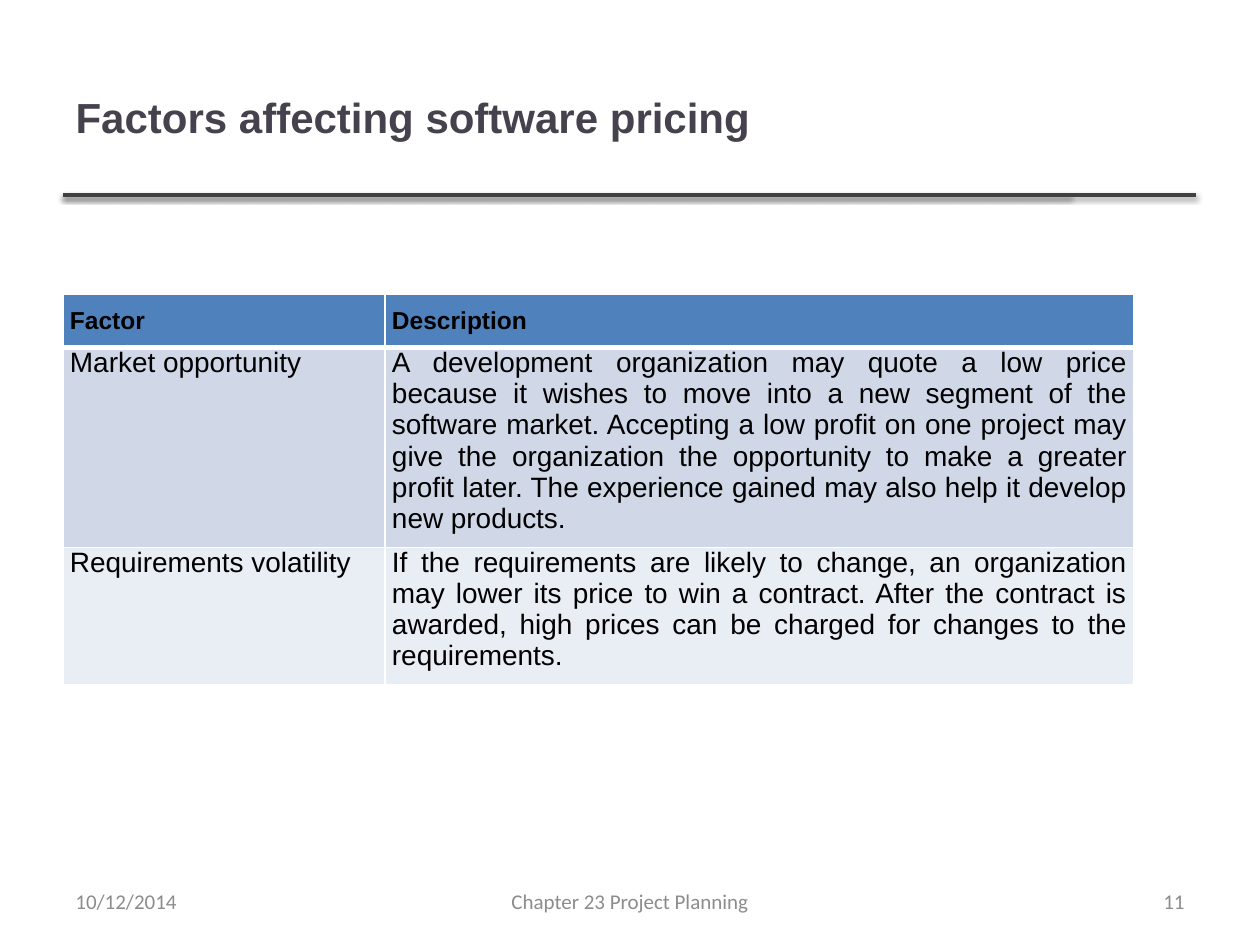
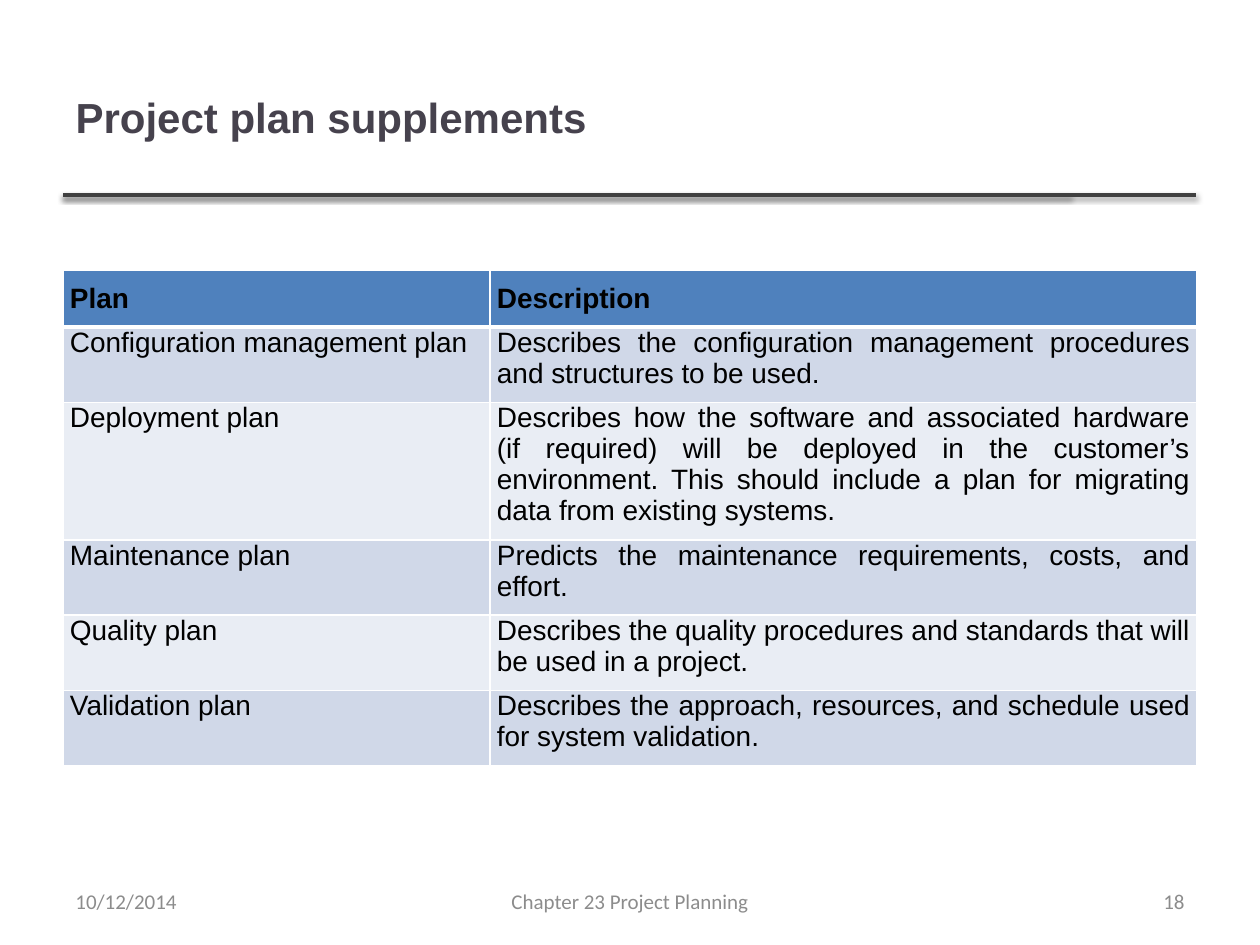
"""Build two project planning slides, each with a titled table."""
from lxml import etree
from pptx import Presentation
from pptx import util as u
from pptx.dml.color import RGBColor
from pptx.enum import shapes, text
from pptx.oxml.ns import qn

INK = RGBColor(0x00, 0x00, 0x00)
WHITE = RGBColor(0xFF, 0xFF, 0xFF)
TITLE_GREY = RGBColor(0x46, 0x42, 0x4D)
RULE_GREY = RGBColor(0x40, 0x40, 0x40)
FOOTER_GREY = RGBColor(0x8C, 0x8C, 0x8C)
HEADER_BLUE = RGBColor(0x4F, 0x81, 0xBD)
ROW_BANDS = (RGBColor(0xD0, 0xD8, 0xE8), RGBColor(0xE9, 0xED, 0xF4))

LEFT, CENTER, RIGHT, JUSTIFY = (
    text.PP_ALIGN.LEFT, text.PP_ALIGN.CENTER, text.PP_ALIGN.RIGHT, text.PP_ALIGN.JUSTIFY)
MIDDLE, TOP = text.MSO_ANCHOR.MIDDLE, text.MSO_ANCHOR.TOP

DATE = "10/12/2014"
CHAPTER = "Chapter 23 Project Planning"
TITLE_BOX = (63, 38, 1006, 157)
RULE_BOX = (63, 195, 1133, 0)
SHORT_RULE = 1007
FOOTER_BOX = (63, 876, 1134, 50)
SIDE_INSET, END_INSET = 7, 13
LINE_HEIGHT = 31

PRICING = dict(
    title="Factors affecting software pricing", number="11",
    origin=(63, 294), widths=(322, 749), header=("Factor", "Description"),
    header_size=14, header_height=52,
    rows=[
        ("Market opportunity",
         "A development organization may quote a low price because it wishes to move into "
         "a new segment of the software market. Accepting a low profit on one project may "
         "give the organization the opportunity to make a greater profit later. The "
         "experience gained may also help it develop new products.", 6),
        ("Requirements volatility",
         "If the requirements are likely to change, an organization may lower its price to "
         "win a contract. After the contract is awarded, high prices can be charged for "
         "changes to the requirements.", 4),
    ])

SUPPLEMENTS = dict(
    title="Project plan supplements", number="18",
    origin=(63, 270), widths=(427, 707), header=("Plan", "Description"),
    header_size=16, header_height=57,
    rows=[
        ("Configuration management plan",
         "Describes the configuration management procedures and structures to be used.", 2),
        ("Deployment plan",
         "Describes how the software and associated hardware (if required) will be deployed "
         "in the customer\u2019s environment. This should include a plan for migrating data "
         "from existing systems.", 4),
        ("Maintenance plan",
         "Predicts the maintenance requirements, costs, and effort.", 2),
        ("Quality plan",
         "Describes the quality procedures and standards that will be used in a project.", 2),
        ("Validation plan",
         "Describes the approach, resources, and schedule used for system validation.", 2),
    ])


def px(pixels):
    """Turn pixels, 126 to the inch, into EMU."""
    return u.Emu(round(pixels * 914400 / 126))


def write(frame, words, size=16, font="Arial", color=INK, bold=False, align=LEFT,
          anchor=MIDDLE):
    """Put one formatted paragraph into a text frame."""
    frame.word_wrap = True
    frame.vertical_anchor = anchor
    paragraph = frame.paragraphs[0]
    paragraph.alignment = align
    run = paragraph.add_run()
    run.text = words
    run.font.size = u.Pt(size)
    run.font.name = font
    run.font.bold = bold
    run.font.color.rgb = color


def add_title(slide, box, words):
    """Move and fill the title placeholder."""
    title = slide.shapes.title
    title.left, title.top, title.width, title.height = map(px, box)
    write(title.text_frame, words, size=24, color=TITLE_GREY, bold=True)


def add_rules(slide, box):
    """Draw the two overlapping shadowed rules under the title."""
    left, top, width, _ = box
    for length in (SHORT_RULE, width):
        rule = slide.shapes.add_connector(
            shapes.MSO_CONNECTOR.STRAIGHT, px(left), px(top), px(left + length), px(top))
        rule.line.color.rgb = RULE_GREY
        rule.line.width = u.Pt(2)
        effects = etree.SubElement(rule.element.spPr, qn("a:effectLst"))
        shadow = etree.SubElement(effects, qn("a:outerShdw"), blurRad="40000", dist="20000",
                                  dir="5400000", rotWithShape="0")
        tint = etree.SubElement(shadow, qn("a:srgbClr"), val=str(INK))
        etree.SubElement(tint, qn("a:alpha"), val="38000")


def add_footer(slide, box, number):
    """Place date, chapter and page number along the bottom."""
    left, top, width, height = box
    side, middle = 294, 400
    parts = ((DATE, 0, side, LEFT),
             (CHAPTER, (width - middle) / 2, middle, CENTER),
             (number, width - side, side, RIGHT))
    for words, offset, part_width, align in parts:
        part = slide.shapes.add_textbox(px(left + offset), px(top), px(part_width), px(height))
        write(part.text_frame, words, size=12, font="Calibri", color=FOOTER_GREY, align=align)


def format_cell(cell, fill, top_inset, top_line=1, bottom_line=1):
    """Set the insets, white borders and fill of a cell."""
    cell.margin_left = cell.margin_right = px(SIDE_INSET)
    cell.margin_top, cell.margin_bottom = px(top_inset), px(END_INSET)
    properties = cell._tc.get_or_add_tcPr()
    for side, points in (("L", 1), ("R", 1), ("T", top_line), ("B", bottom_line)):
        border = etree.SubElement(properties, qn("a:ln" + side), w=str(u.Pt(points)))
        paint = etree.SubElement(border, qn("a:solidFill"))
        etree.SubElement(paint, qn("a:srgbClr"), val=str(WHITE))
    cell.fill.solid()
    cell.fill.fore_color.rgb = fill


def add_plan_table(slide, origin, widths, header, header_size, header_height, rows):
    """Add a table with a blue header and banded rows sized by their line counts."""
    heights = [header_height] + [lines * LINE_HEIGHT + END_INSET for _, _, lines in rows]
    left, top = origin
    table = slide.shapes.add_table(len(heights), len(widths), px(left), px(top),
                                   px(sum(widths)), px(sum(heights))).table
    for column, width in zip(table.columns, widths):
        column.width = px(width)
    for row, height in zip(table.rows, heights):
        row.height = px(height)
    for column, heading in enumerate(header):
        cell = table.cell(0, column)
        format_cell(cell, HEADER_BLUE, END_INSET, bottom_line=3)
        write(cell.text_frame, heading, size=header_size, bold=True, align=JUSTIFY, anchor=TOP)
    for index, (name, description, _) in enumerate(rows):
        for column, (words, align) in enumerate(((name, LEFT), (description, JUSTIFY))):
            cell = table.cell(index + 1, column)
            format_cell(cell, ROW_BANDS[index % 2], 0, top_line=1 if index else 3)
            write(cell.text_frame, words, align=align, anchor=TOP)


def add_table_slide(deck, title, number, **plan):
    """Add one slide with title, rules, table and footer."""
    slide = deck.slides.add_slide(deck.slide_layouts.get_by_name("Title Only"))
    add_rules(slide, RULE_BOX)
    add_title(slide, TITLE_BOX, title)
    add_plan_table(slide, **plan)
    add_footer(slide, FOOTER_BOX, number)


deck = Presentation()
deck.slide_width, deck.slide_height = px(1260), px(945)
for content in (PRICING, SUPPLEMENTS):
    add_table_slide(deck, **content)
deck.save("out.pptx")
